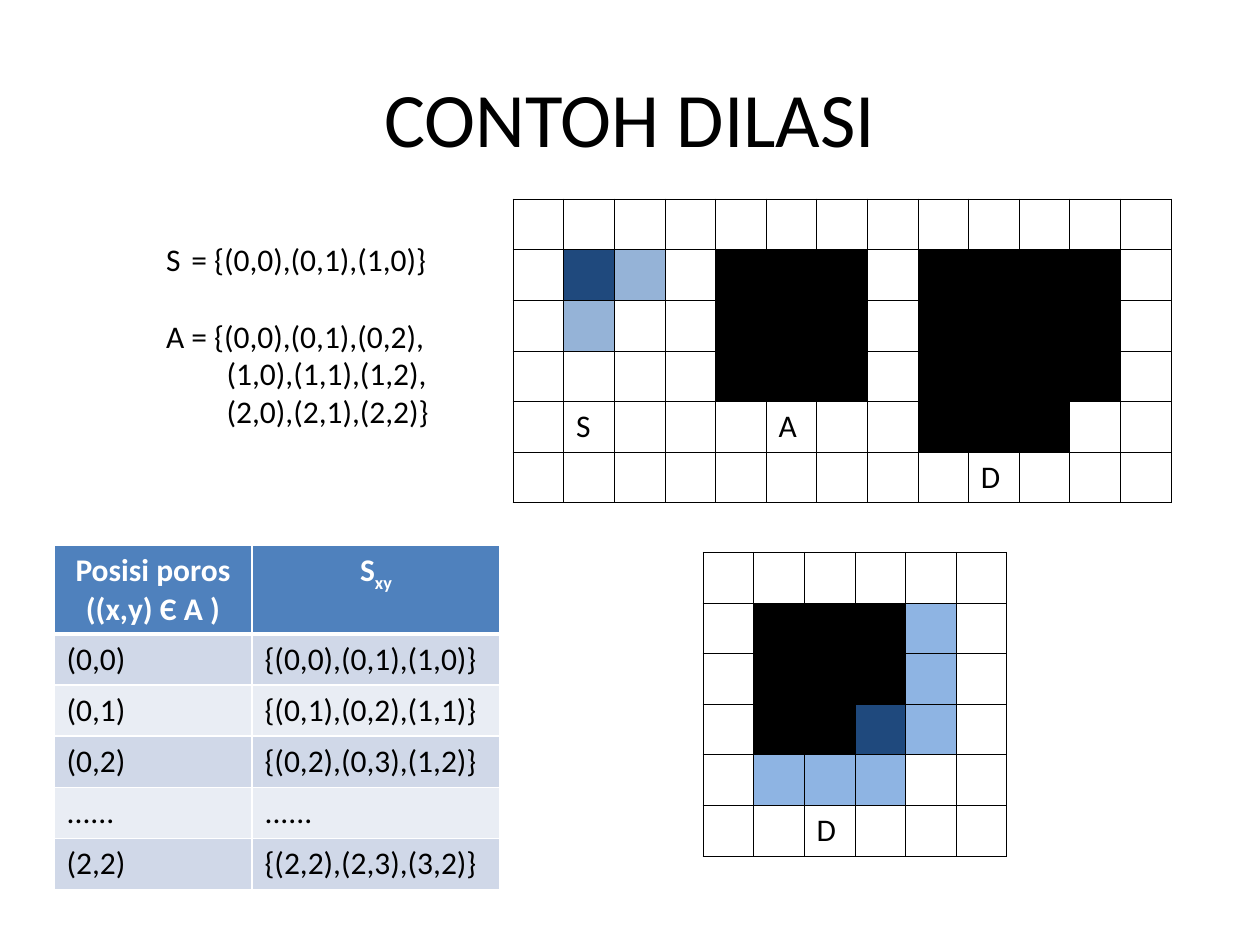
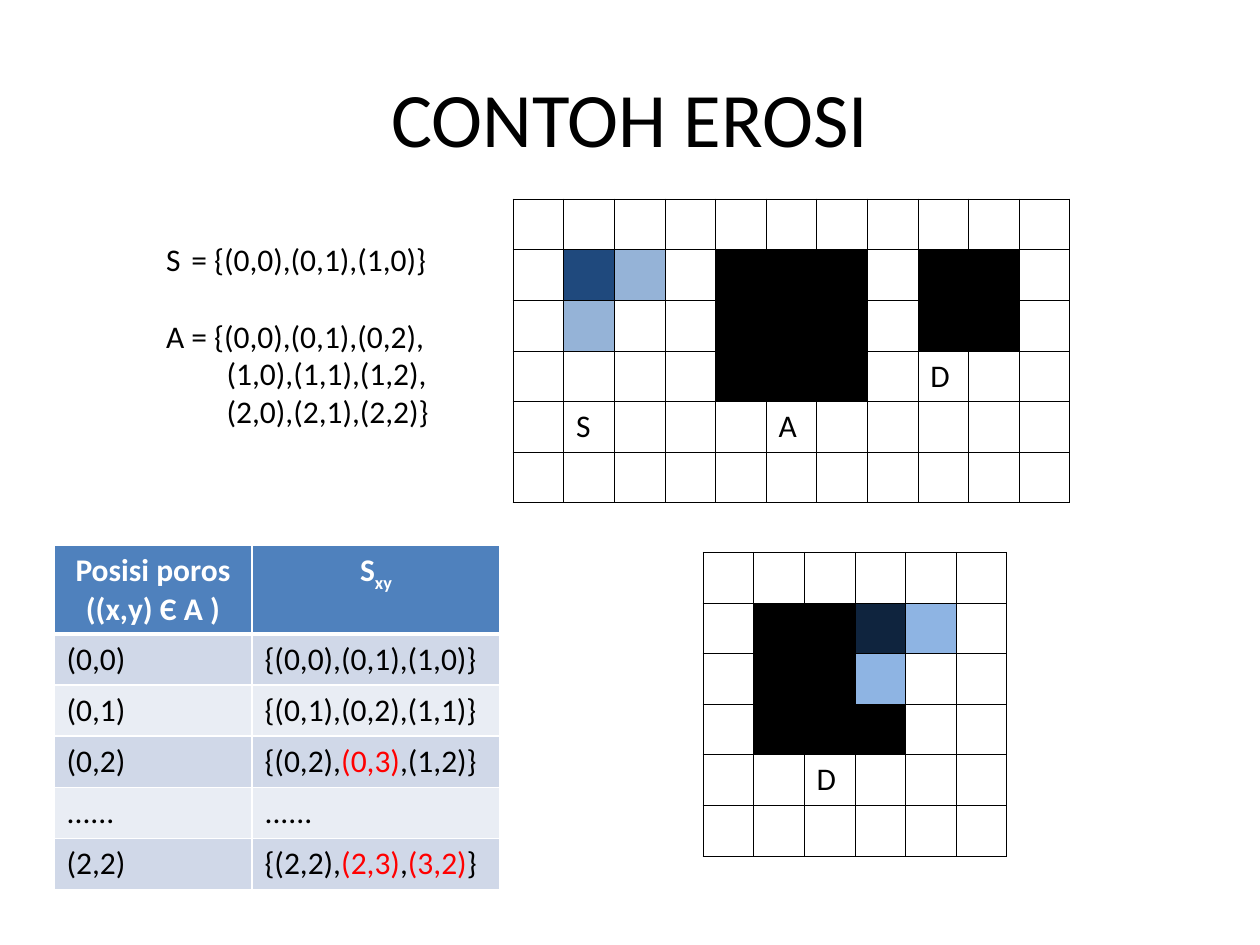
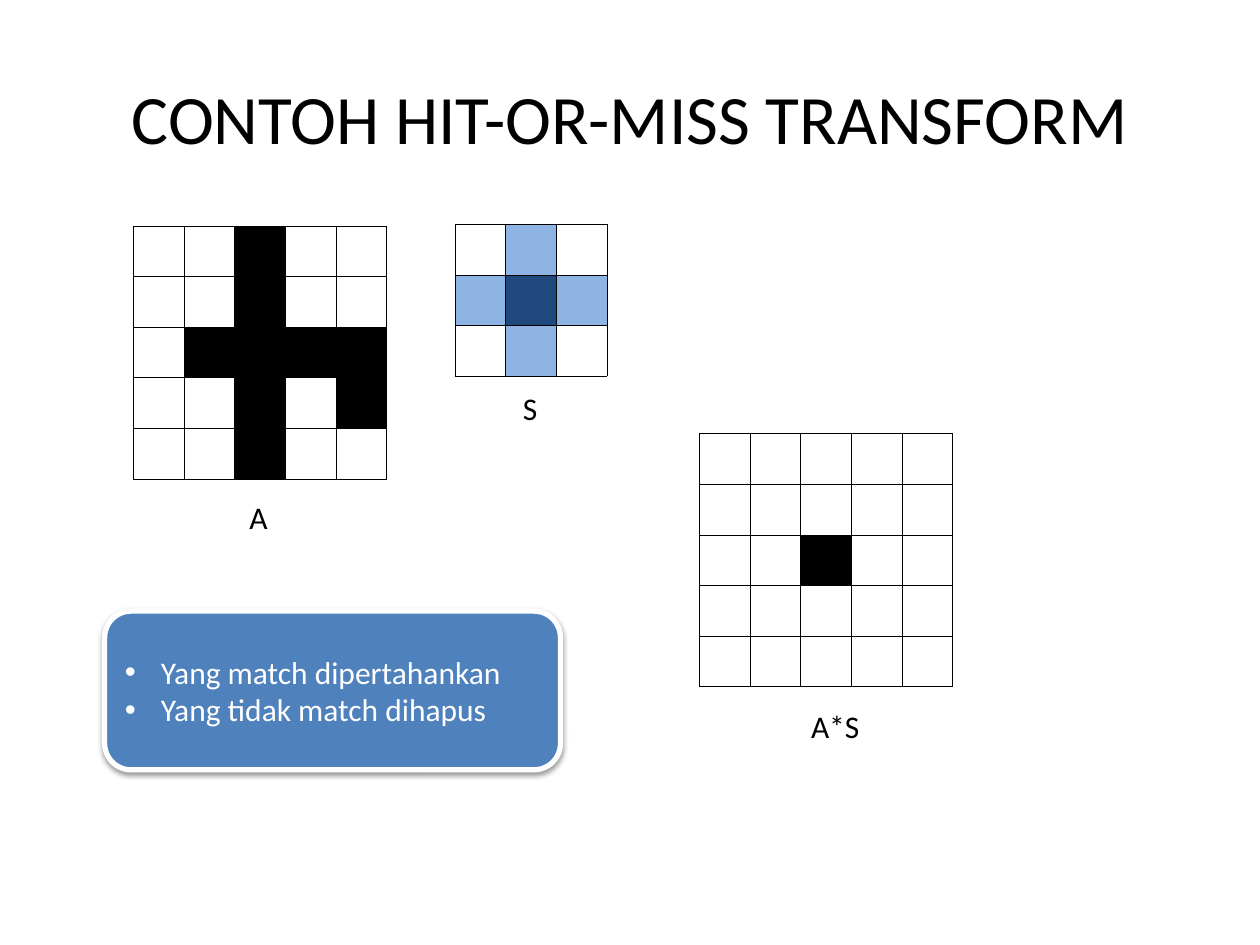
from dataclasses import dataclass
from itertools import groupby

from lxml import etree
from pptx import Presentation
from pptx.dml.color import RGBColor
from pptx.enum.shapes import MSO_SHAPE
from pptx.enum.text import MSO_ANCHOR, MSO_AUTO_SIZE, PP_ALIGN
from pptx.oxml.ns import qn
from pptx.util import Cm, Pt

ROUNDED = MSO_SHAPE.ROUNDED_RECTANGLE
MIDDLE = MSO_ANCHOR.MIDDLE
FIT_SHAPE = MSO_AUTO_SIZE.SHAPE_TO_FIT_TEXT
LEFT, CENTER = PP_ALIGN.LEFT, PP_ALIGN.CENTER

FONT = "Calibri"
BLACK, WHITE, RED = "000000", "FFFFFF", "FF0000"
BLUE, BAND_DARK, BAND_LIGHT = "4F81BD", "D0D8E8", "E9EDF4"
# Symbols of the pixel maps; capital letters are labels, dots are empty.
PIXELS = {"#": BLACK, "p": "1F497D", "o": "0F243E", "n": "95B3D7", "h": "8EB4E3"}

PIXEL = 1.02  # side of one pixel, cm
ROW_H, HEADER_H = 1.03, 1.78
COL_WIDTHS = (3.99, 5.0)
A_LAST = 2  # last row and column of set A


@dataclass
class PixelGrid:
    """A pixel map with its top left corner in cm."""
    left: float
    top: float
    rows: str


@dataclass
class Label:
    """A short caption and its box in cm."""
    text: str
    left: float
    top: float
    width: float


@dataclass
class Example:
    """A slide that shows one morphological operation."""
    title: str
    sets: PixelGrid
    result: PixelGrid
    mark_outside: bool


EXAMPLES = (
    Example(
        "CONTOH DILASI",
        PixelGrid(10.34, 4.01, """
            .............
            .pn.###.####.
            .n..###.####.
            ....###.####.
            .S...A..###..
            .........D..."""),
        PixelGrid(14.17, 11.13, """
            ......
            .###h.
            .###h.
            .##ph.
            .hhh..
            ..D..."""),
        False,
    ),
    Example(
        "CONTOH EROSI",
        PixelGrid(10.34, 4.01, """
            ...........
            .pn.###.##.
            .n..###.##.
            ....###.D..
            .S...A.....
            ..........."""),
        PixelGrid(14.17, 11.13, """
            ......
            .##oh.
            .##h..
            .###..
            ..D...
            ......"""),
        True,
    ),
)

HIT_OR_MISS_GRIDS = (
    PixelGrid(2.69, 4.55, """
        ..#..
        ..#..
        .####
        ..#.#
        ..#.."""),
    PixelGrid(14.1, 8.74, """
        .....
        .....
        ..#..
        .....
        ....."""),
    PixelGrid(9.17, 4.52, """
        .h.
        hph
        .h."""),
)
HIT_OR_MISS_LABELS = (
    Label("A", 4.78, 9.91, 0.89),
    Label("S", 10.29, 7.72, 0.81),
    Label("A*S", 16.1, 14.12, 1.5),
)


def rgb(color: str) -> RGBColor:
    """Turn a hex string into a colour."""
    return RGBColor.from_string(color)


def add_run(p, text: str, *, size: float = 18, color: str = BLACK,
            bold: bool = False, baseline: int = 0) -> None:
    """Add formatted text to a paragraph; baseline is in percent."""
    r = p.add_run()
    r.text = text
    r.font.name, r.font.size, r.font.bold = FONT, Pt(size), bold
    r.font.color.rgb = rgb(color)
    if baseline:
        r._r.get_or_add_rPr().set("baseline", str(baseline * 1000))


def set_indent(p, left: float, hanging: float = 0, bullet: str = "") -> None:
    """Set the left and hanging indent in cm, with an optional bullet."""
    pPr = p._p.get_or_add_pPr()
    pPr.set("marL", str(Cm(left)))
    pPr.set("indent", str(-Cm(hanging)))
    if bullet:
        etree.SubElement(pPr, qn("a:buFont")).set("typeface", "Arial")
        etree.SubElement(pPr, qn("a:buChar")).set("char", bullet)


def add_box(s, left: float, top: float, width: float, height: float,
            wrap: bool = False):
    """Add a text box and return its text frame."""
    tf = s.shapes.add_textbox(Cm(left), Cm(top), Cm(width), Cm(height)).text_frame
    tf.word_wrap = wrap
    if not wrap:
        tf.auto_size = FIT_SHAPE
    return tf


def add_slide(prs, title: str, size: float = 44):
    """Add a blank slide with the shared title."""
    s = prs.slides.add_slide(prs.slide_layouts[6])
    tf = add_box(s, 1.27, 0.76, 22.86, 3.18, wrap=True)
    tf.vertical_anchor = MIDDLE
    p = tf.paragraphs[0]
    p.alignment = CENTER
    add_run(p, title, size=size)
    return s


def add_plain_table(s, left: float, top: float, widths: list[float],
                    heights: list[float]):
    """Add a table without banding and return it."""
    tbl = s.shapes.add_table(len(heights), len(widths), Cm(left), Cm(top),
                             Cm(sum(widths)), Cm(sum(heights))).table
    tbl.first_row = tbl.horz_banding = False
    for col, width in zip(tbl.columns, widths):
        col.width = Cm(width)
    for row, height in zip(tbl.rows, heights):
        row.height = Cm(height)
    return tbl


def style_cell(cell, fill: str | None, line: str, width: float,
               bottom: float | None = None) -> None:
    """Set a cell's borders, then its fill."""
    tcPr = cell._tc.get_or_add_tcPr()
    for side in "LRTB":
        points = bottom if side == "B" and bottom else width
        ln = etree.SubElement(tcPr, qn(f"a:ln{side}"), w=str(Pt(points)))
        solid = etree.SubElement(ln, qn("a:solidFill"))
        etree.SubElement(solid, qn("a:srgbClr"), val=line)
    if fill:
        cell.fill.solid()
        cell.fill.fore_color.rgb = rgb(fill)
    else:
        cell.fill.background()


def add_grid(s, grid: PixelGrid) -> None:
    """Draw a pixel map as a table of square cells."""
    rows = grid.rows.split()
    tbl = add_plain_table(s, grid.left, grid.top, [PIXEL] * len(rows[0]),
                          [PIXEL] * len(rows))
    for i, row in enumerate(rows):
        for j, symbol in enumerate(row):
            cell = tbl.cell(i, j)
            style_cell(cell, PIXELS.get(symbol), BLACK, 0.25)
            if symbol.isupper():
                add_run(cell.text_frame.paragraphs[0], symbol)


def add_sets_text(s) -> None:
    """Write the definitions of sets S and A."""
    tf = add_box(s, 3.1, 4.72, 5.84, 4.11)
    lines = (
        ("S\t= {(0,0),(0,1),(1,0)}", 0.51, 0.51),
        ("A\t= {(0,0),(0,1),(0,2),", 0.51, 0.51),
        ("(1,0),(1,1),(1,2),", 1.22, 0),
        ("(2,0),(2,1),(2,2)}", 1.22, 0),
    )
    for i, (text, left, hanging) in enumerate(lines):
        p = tf.add_paragraph() if i else tf.paragraphs[0]
        set_indent(p, left, hanging)
        if text.startswith("A"):
            p.space_before = Pt(22)
        add_run(p, text)


def add_translation(p, x: int, y: int, mark_outside: bool) -> None:
    """Write S moved to (x, y), with points outside A in red if asked."""
    pieces = [("{", BLACK)]
    for point in ((x, y), (x, y + 1), (x + 1, y)):
        outside = mark_outside and max(point) > A_LAST
        pieces += [(f"({point[0]},{point[1]})", RED if outside else BLACK),
                   (",", BLACK)]
    pieces[-1] = ("}", BLACK)
    for color, group in groupby(pieces, key=lambda piece: piece[1]):
        add_run(p, "".join(text for text, _ in group), color=color)


def add_position_table(s, mark_outside: bool) -> None:
    """List the pivot positions and the translated sets."""
    positions = ((0, 0), (0, 1), (0, 2), None, (2, 2))
    tbl = add_plain_table(s, 1.09, 11.0, COL_WIDTHS,
                          [HEADER_H] + [ROW_H] * len(positions))
    heads = [tbl.cell(0, j) for j in range(2)]
    for cell, text in zip(heads, ("Posisi poros ((x,y) Є A )", "S")):
        style_cell(cell, BLUE, WHITE, 1, bottom=3)
        p = cell.text_frame.paragraphs[0]
        p.alignment = CENTER
        add_run(p, text, color=WHITE, bold=True)
    add_run(heads[1].text_frame.paragraphs[0], "xy", color=WHITE, bold=True,
            baseline=-25)

    for i, position in enumerate(positions, start=1):
        cells = [tbl.cell(i, j) for j in range(2)]
        for cell in cells:
            style_cell(cell, BAND_DARK if i % 2 else BAND_LIGHT, WHITE, 1)
        first, second = (cell.text_frame.paragraphs[0] for cell in cells)
        if position:
            add_run(first, "({},{})".format(*position))
            add_translation(second, *position, mark_outside)
        else:
            add_run(first, "......")
            add_run(second, "......")


def add_callout(s, lines: tuple[str, ...]) -> None:
    """Draw the rounded box with a bulleted list and a soft shadow."""
    shape = s.shapes.add_shape(ROUNDED, Cm(2.11), Cm(12.32), Cm(9.19), Cm(3.2))
    shape.fill.solid()
    shape.fill.fore_color.rgb = rgb(BLUE)
    shape.line.color.rgb = rgb(WHITE)
    shape.line.width = Pt(3)
    shape.shadow.inherit = False
    effects = shape._element.spPr.find(qn("a:effectLst"))
    shadow = etree.SubElement(effects, qn("a:outerShdw"), blurRad=str(Pt(3.1)),
                              dist=str(Pt(1.6)), dir="5400000", rotWithShape="0")
    color = etree.SubElement(shadow, qn("a:srgbClr"), val=BLACK)
    etree.SubElement(color, qn("a:alpha"), val="38000")

    tf = shape.text_frame
    tf.word_wrap = True
    tf.vertical_anchor = MIDDLE
    for i, text in enumerate(lines):
        p = tf.add_paragraph() if i else tf.paragraphs[0]
        p.alignment = LEFT
        set_indent(p, 0.73, 0.73, bullet="•")
        add_run(p, text, color=WHITE)


def add_example_slide(prs, example: Example) -> None:
    """Build the slide of one operation."""
    s = add_slide(prs, example.title)
    add_grid(s, example.sets)
    add_sets_text(s)
    add_position_table(s, example.mark_outside)
    add_grid(s, example.result)


def add_hit_or_miss_slide(prs) -> None:
    """Build the slide of the hit-or-miss transform."""
    s = add_slide(prs, "CONTOH HIT-OR-MISS TRANSFORM", size=39.6)
    for grid in HIT_OR_MISS_GRIDS:
        add_grid(s, grid)
    for label in HIT_OR_MISS_LABELS:
        tf = add_box(s, label.left, label.top, label.width, 1.02)
        add_run(tf.paragraphs[0], label.text)
    add_callout(s, ("Yang match dipertahankan", "Yang tidak match dihapus"))


prs = Presentation()
prs.slide_width, prs.slide_height = Cm(25.4), Cm(19.05)
for example in EXAMPLES:
    add_example_slide(prs, example)
add_hit_or_miss_slide(prs)
prs.save("out.pptx")
